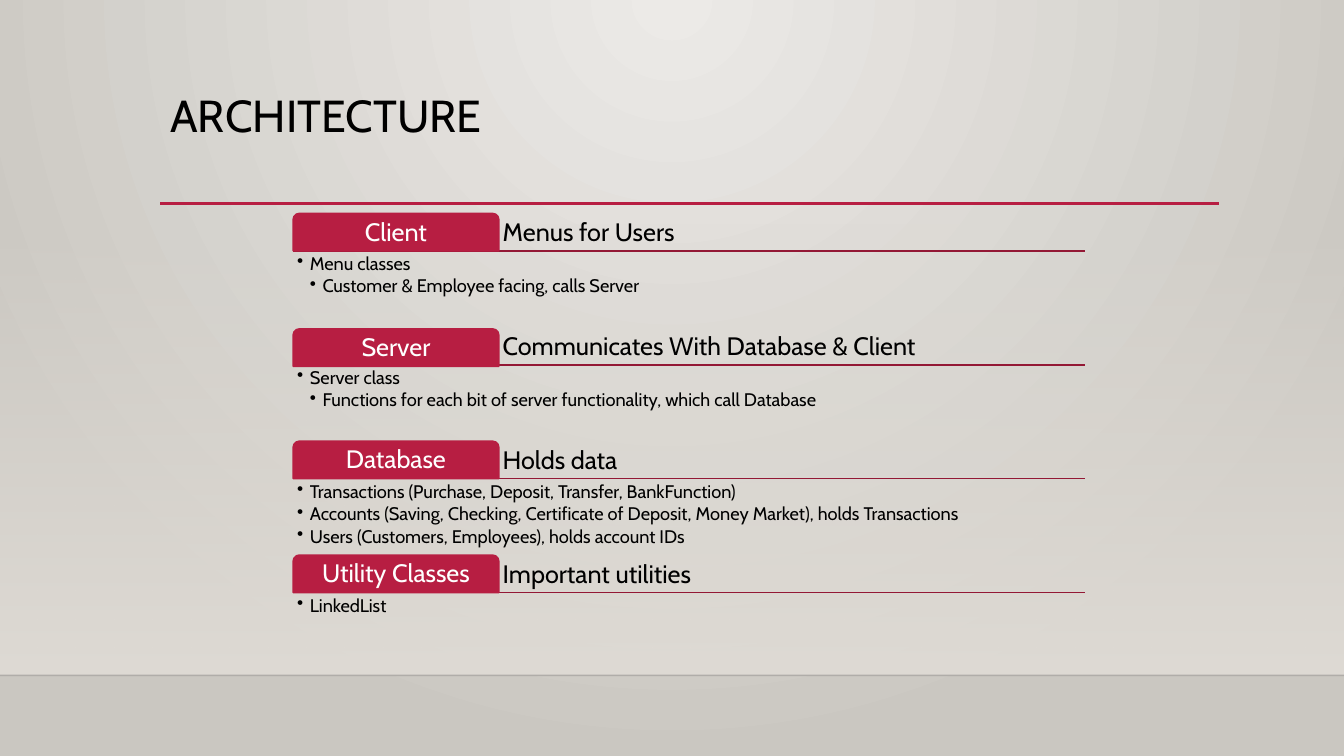
from dataclasses import dataclass

from lxml import etree
from pptx import Presentation
from pptx.dml.color import RGBColor
from pptx.enum.shapes import MSO_CONNECTOR, MSO_SHAPE
from pptx.enum.text import MSO_ANCHOR, PP_ALIGN
from pptx.oxml.ns import qn
from pptx.util import Cm, Pt

STRAIGHT = MSO_CONNECTOR.STRAIGHT
RECTANGLE = MSO_SHAPE.RECTANGLE
TAB_SHAPE = MSO_SHAPE.ROUND_2_SAME_RECTANGLE
TOP, MIDDLE, BOTTOM = MSO_ANCHOR.TOP, MSO_ANCHOR.MIDDLE, MSO_ANCHOR.BOTTOM
LEFT, CENTER = PP_ALIGN.LEFT, PP_ALIGN.CENTER

FONT = "Cabin"
COLORS = {
    "text": "000000",
    "tab_text": "FFFFFF",
    "accent": "B71E42",
    "rule": "931835",
    "floor_line": "000001",
    "glow": "ECEAE7",
    "edge": "CAC7C1",
    "wall": "DFDBD5",
}

# Layout in centimetres
SLIDE_W, SLIDE_H = 33.87, 19.05
FLOOR_Y = 17.02
WALL_TOP = 5.61
LIST_LEFT, LIST_W = 7.39, 19.96
TAB_W, TAB_H = 5.18, 0.94
FIRST_TOP, PITCH = 5.38, 2.87
DETAILS_H = 1.88
INDENT = 0.32
INSET = 0.1


@dataclass(frozen=True)
class Detail:
    text: str
    level: int = 1


@dataclass(frozen=True)
class Layer:
    name: str
    summary: str
    details: tuple[Detail, ...]
    tab_drop: float = 0


LAYERS = (
    Layer("Client", "Menus for Users", (
        Detail("Menu classes"),
        Detail("Customer & Employee facing, calls Server", 2),
    )),
    Layer("Server", "Communicates With Database & Client", (
        Detail("Server class"),
        Detail("Functions for each bit of server functionality, which call Database", 2),
    ), tab_drop=0.04),
    Layer("Database", "Holds data", (
        Detail("Transactions (Purchase, Deposit, Transfer, BankFunction)"),
        Detail("Accounts (Saving, Checking, Certificate of Deposit, Money Market), holds Transactions"),
        Detail("Users (Customers, Employees), holds account IDs"),
    )),
    Layer("Utility Classes", "Important utilities", (Detail("LinkedList"),)),
)


def rgb(color: str) -> RGBColor:
    return RGBColor.from_string(COLORS[color])


def set_alpha(element, percent: int) -> None:
    """Make the first colour inside the element translucent."""
    color = element.find(".//" + qn("a:srgbClr"))
    etree.SubElement(color, qn("a:alpha"), val=str(percent * 1000))


def set_gradient(fill, start: str, end: str) -> None:
    fill.gradient()
    for stop, color in zip(fill.gradient_stops, (start, end)):
        stop.color.rgb = rgb(color)


def add_line(slide, left: float, y: float, width: float, color: str, weight: float):
    line = slide.shapes.add_connector(STRAIGHT, Cm(left), Cm(y), Cm(left + width), Cm(y))
    line.line.color.rgb = rgb(color)
    line.line.width = Pt(weight)
    etree.SubElement(line.element.spPr, qn("a:effectLst"))
    return line


def set_frame(frame, anchor) -> None:
    frame.word_wrap = True
    frame.vertical_anchor = anchor
    frame.margin_left = frame.margin_right = Cm(INSET)
    frame.margin_top = frame.margin_bottom = Cm(INSET)


def write(paragraph, text: str, size: float, color: str = "text", align=LEFT) -> None:
    paragraph.alignment = align
    paragraph.line_spacing = 0.9
    run = paragraph.add_run()
    run.text = text
    run.font.name = FONT
    run.font.size = Pt(size)
    run.font.color.rgb = rgb(color)


def add_text_frame(slide, left: float, top: float, width: float, height: float, anchor):
    frame = slide.shapes.add_textbox(Cm(left), Cm(top), Cm(width), Cm(height)).text_frame
    set_frame(frame, anchor)
    return frame


def add_bullet(paragraph, level: int) -> None:
    properties = paragraph._p.get_or_add_pPr()
    properties.set("marL", str(Cm(INDENT * level)))
    properties.set("indent", str(-Cm(INDENT)))
    etree.SubElement(properties, qn("a:buChar"), char="•")


def draw_backdrop(slide) -> None:
    # Round glow from the top centre
    set_gradient(slide.background.fill, "glow", "edge")
    gradient = slide.element.find(".//" + qn("a:gradFill"))
    gradient.remove(gradient.find(qn("a:lin")))
    glow = etree.SubElement(gradient, qn("a:path"), path="circle")
    etree.SubElement(glow, qn("a:fillToRect"), l="43000", t="0", r="43000", b="100000")

    # Wall fading in towards the floor
    wall = slide.shapes.add_shape(
        RECTANGLE, 0, Cm(WALL_TOP), Cm(SLIDE_W), Cm(FLOOR_Y - WALL_TOP))
    wall.shadow.inherit = False
    wall.line.fill.background()
    set_gradient(wall.fill, "wall", "wall")
    wall.fill.gradient_angle = 270
    set_alpha(wall.element.spPr, 0)

    floor = add_line(slide, 0, FLOOR_Y, SLIDE_W, "floor_line", 1)
    set_alpha(floor.element.spPr, 20)


def draw_title(slide) -> None:
    title = slide.shapes.title
    title.left, title.top, title.width, title.height = Cm(4.04), Cm(2.24), Cm(26.67), Cm(2.92)
    title.text_frame.vertical_anchor = TOP
    title.text_frame.word_wrap = True
    write(title.text_frame.paragraphs[0], "ARCHITECTURE", 32)
    add_line(slide, 4.04, 5.13, 26.69, "accent", 2.5)


def draw_layer(slide, layer: Layer, top: float) -> None:
    bottom = top + TAB_H
    add_line(slide, LIST_LEFT, bottom, LIST_W, "rule", 1.25)

    # Summary beside the tab
    summary = add_text_frame(slide, LIST_LEFT + TAB_W, top, LIST_W - TAB_W, TAB_H, BOTTOM)
    write(summary.paragraphs[0], layer.summary, 18)

    # Tab with the layer name
    tab = slide.shapes.add_shape(
        TAB_SHAPE, Cm(LIST_LEFT), Cm(top + layer.tab_drop), Cm(TAB_W), Cm(TAB_H))
    tab.shadow.inherit = False
    tab.fill.solid()
    tab.fill.fore_color.rgb = rgb("accent")
    tab.line.color.rgb = rgb("accent")
    tab.line.width = Pt(1.25)
    set_frame(tab.text_frame, MIDDLE)
    write(tab.text_frame.paragraphs[0], layer.name, 18, "tab_text", CENTER)

    # Bulleted details below
    details = add_text_frame(slide, LIST_LEFT, bottom, LIST_W, DETAILS_H, TOP)
    for index, detail in enumerate(layer.details):
        paragraph = details.add_paragraph() if index else details.paragraphs[0]
        write(paragraph, detail.text, 13)
        paragraph.space_after = Pt(2)
        add_bullet(paragraph, detail.level)


def main() -> None:
    deck = Presentation()
    deck.slide_width, deck.slide_height = Cm(SLIDE_W), Cm(SLIDE_H)
    slide = deck.slides.add_slide(deck.slide_layouts.get_by_name("Title Only"))
    draw_backdrop(slide)
    draw_title(slide)
    for index, layer in enumerate(LAYERS):
        draw_layer(slide, layer, FIRST_TOP + index * PITCH)
    deck.save("out.pptx")


if __name__ == "__main__":
    main()
